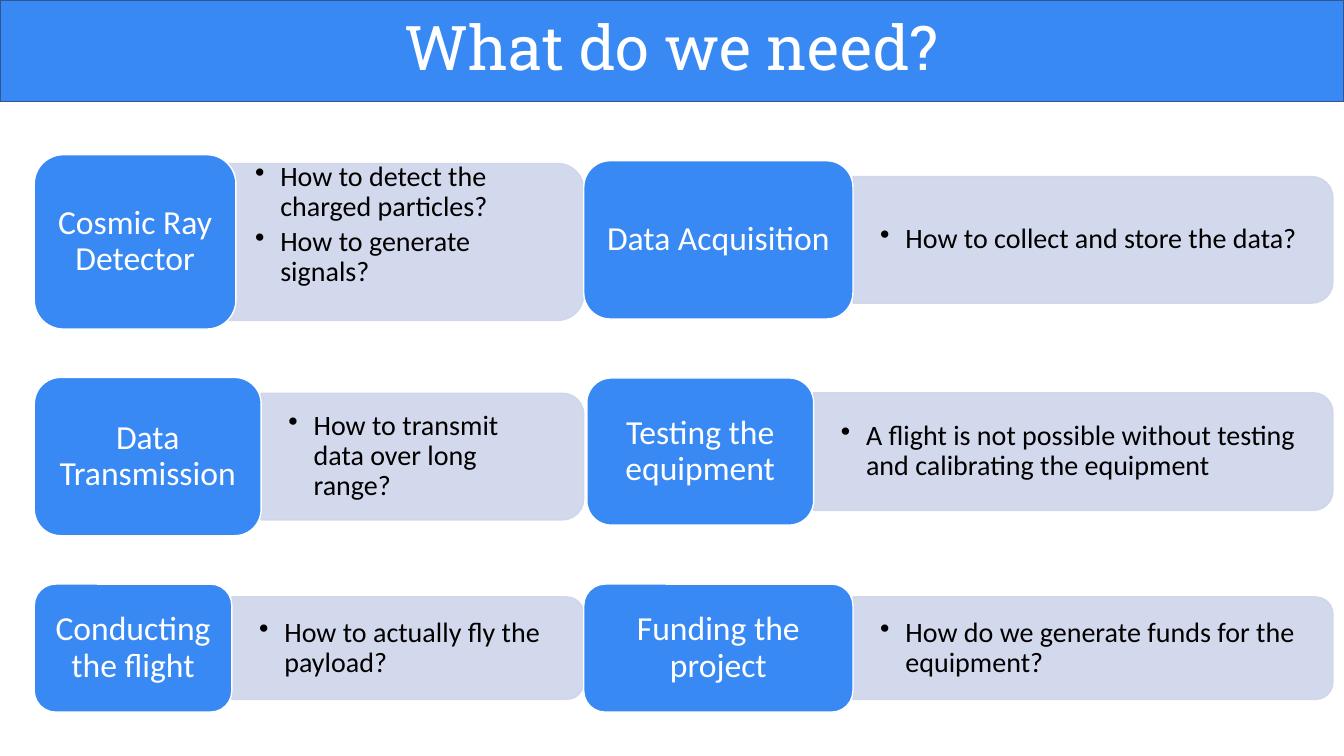
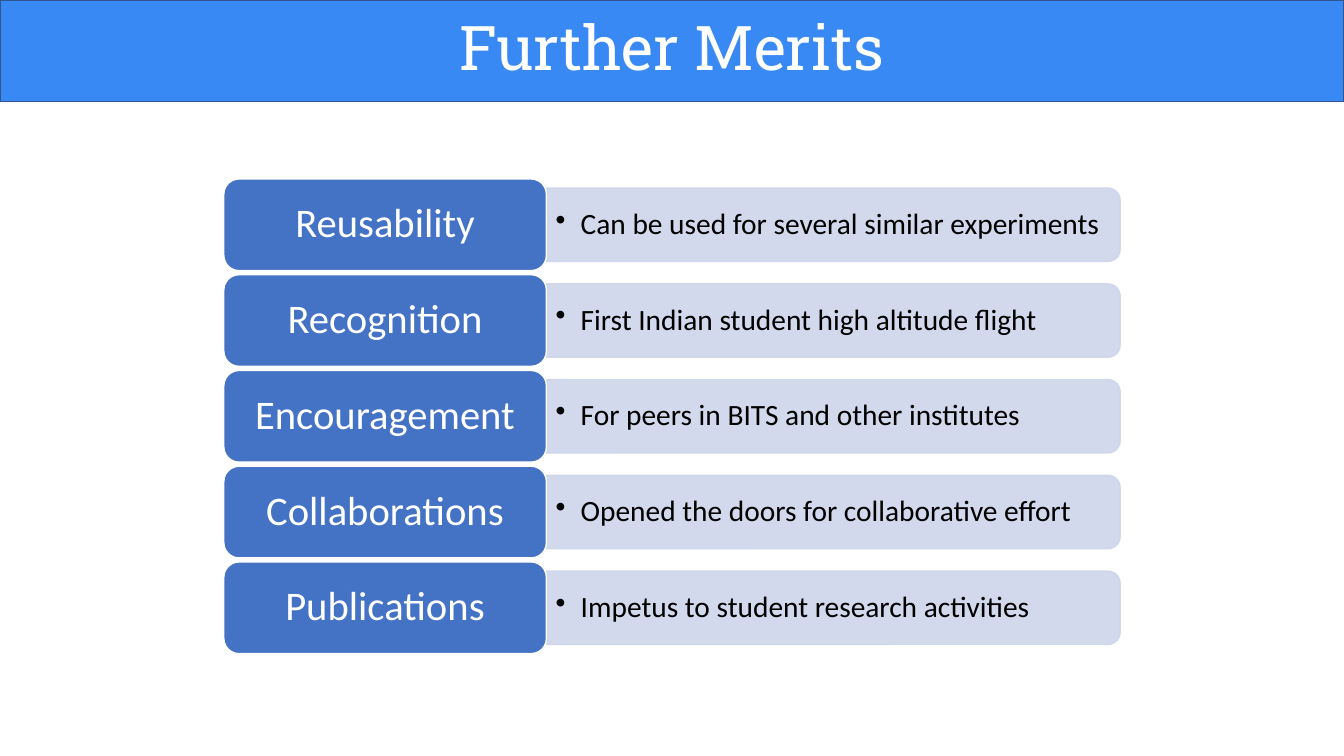
from pptx import Presentation
from pptx.dml.color import RGBColor
from pptx.enum.shapes import MSO_SHAPE
from pptx.enum.text import MSO_ANCHOR, PP_ALIGN
from pptx.oxml.ns import qn
from pptx.oxml.xmlchemy import OxmlElement
from pptx.util import Inches, Pt

# Shared look
BLUE, DEEP_BLUE, NAVY = "3889F4", "4472C4", "325491"
PALE, WHITE, BLACK = "CFD5EA", "FFFFFF", "000000"
W, H = 13.33, 7.5
BAND_H = 1.01
BAR_SHARE = 0.8  # bar height as a share of its label's height

prs = Presentation()
prs.slide_width, prs.slide_height = Inches(W), Inches(H)


def add_box(s, kind, x, y, w, h, fill, line):
    sp = s.shapes.add_shape(kind, Inches(x), Inches(y), Inches(w), Inches(h))
    sp.shadow.inherit = False
    sp.fill.solid()
    sp.fill.fore_color.rgb = RGBColor.from_string(fill)
    sp.line.color.rgb = RGBColor.from_string(line)
    sp.line.width = Pt(1)
    return sp


def set_text(sp, text, size, color, font="Calibri", margins=(0.1, 0.05), bullets=False):
    tf = sp.text_frame
    tf.word_wrap = True
    tf.vertical_anchor = MSO_ANCHOR.MIDDLE
    tf.margin_left = tf.margin_right = Inches(margins[0])
    tf.margin_top = tf.margin_bottom = Inches(margins[1])
    tf.text = text
    for p in tf.paragraphs:
        p.line_spacing = 0.9
        p.alignment = PP_ALIGN.LEFT if bullets else PP_ALIGN.CENTER
        if bullets:
            p.space_after = Pt(3)
            pPr = p._p.get_or_add_pPr()
            pPr.set("marL", str(Inches(0.25)))
            pPr.set("indent", str(-Inches(0.25)))
            bullet = OxmlElement("a:buChar")
            bullet.set("char", "•")
            pPr.append(bullet)
        for r in p.runs:
            r.font.name, r.font.size = font, Pt(size)
            r.font.color.rgb = RGBColor.from_string(color)


# Grid of the first slide: two columns, three row centres
COL1, COL2, EDGE = 0.34, 5.79, 13.22
ROW1, ROW2, ROW3 = 2.4, 4.5, 6.43

# Cards: left, row centre, label width, label height, right edge, label, bullets
needs = [
    (COL1, ROW1, 2, 1.73, COL2, "Cosmic Ray Detector",
     "How to detect the charged particles?\nHow to generate signals?"),
    (COL2, ROW1 - 0.02, 2.67, 1.57, EDGE, "Data Acquisition",
     "How to collect and store the data?"),
    (COL1, ROW2 + 0.03, 2.25, 1.57, COL2, "Data Transmission",
     "How to transmit data over long range?"),
    (COL2 + 0.03, ROW2 - 0.02, 2.25, 1.46, EDGE, "Testing the equipment",
     "A flight is not possible without testing and calibrating the equipment"),
    (COL1, ROW3, 1.96, 1.27, COL2, "Conducting the flight",
     "How to actually fly the payload?"),
    (COL2, ROW3, 2.67, 1.27, EDGE, "Funding the project",
     "How do we generate funds for the equipment?"),
]

# Second slide: one column at an even pitch
merits = [
    (2.22, 2.23 + 0.95 * i, 3.2, 0.91, 11.11, label, bullet)
    for i, (label, bullet) in enumerate([
        ("Reusability", "Can be used for several similar experiments"),
        ("Recognition", "First Indian student high altitude flight"),
        ("Encouragement", "For peers in BITS and other institutes"),
        ("Collaborations", "Opened the doors for collaborative effort"),
        ("Publications", "Impetus to student research activities"),
    ])
]

# Title, cards, label colour, label size, bullet size, label and bullet margins
slides = [
    ("What do we need?", needs, BLUE, 24, 20, (0.1, 0.05), (0.27, 0.14)),
    ("Further Merits", merits, DEEP_BLUE, 29, 21, (0.12, 0.06), (0.09, 0.04)),
]

for title, cards, color, label_size, bullet_size, label_margins, bullet_margins in slides:
    s = prs.slides.add_slide(prs.slide_layouts[6])

    # Title band
    band = add_box(s, MSO_SHAPE.RECTANGLE, 0, 0, W, BAND_H, BLUE, NAVY)
    set_text(band, title, 44, WHITE, "Roboto Slab")

    for x, cy, w, h, right, label, bullets in cards:
        # The two-bullet card has a taller bar tucked under its label, text set higher
        double = "\n" in bullets
        share, tuck, rise = (0.9, 0.08, 0.17) if double else (BAR_SHARE, 0, 0)
        bar_x, bar_h = x + w - tuck, h * share
        bar_w = right - bar_x

        # Bar, turned so its round corners face right
        bar = add_box(s, MSO_SHAPE.ROUND_2_SAME_RECTANGLE, bar_x + (bar_w - bar_h) / 2,
                      cy - bar_w / 2, bar_h, bar_w, PALE, PALE)
        bar.rotation = 90
        for clr in bar._element.spPr.iter(qn("a:srgbClr")):
            alpha = OxmlElement("a:alpha")
            alpha.set("val", "90000")
            clr.append(alpha)

        # Bullets
        tb = s.shapes.add_textbox(Inches(bar_x), Inches(cy - bar_h / 2 - rise),
                                  Inches(bar_w - 0.05), Inches(bar_h))
        set_text(tb, bullets, bullet_size, BLACK, margins=bullet_margins, bullets=True)

        # Label
        sp = add_box(s, MSO_SHAPE.ROUNDED_RECTANGLE, x, cy - h / 2, w, h, color, WHITE)
        set_text(sp, label, label_size, WHITE, margins=label_margins)

prs.save("out.pptx")
